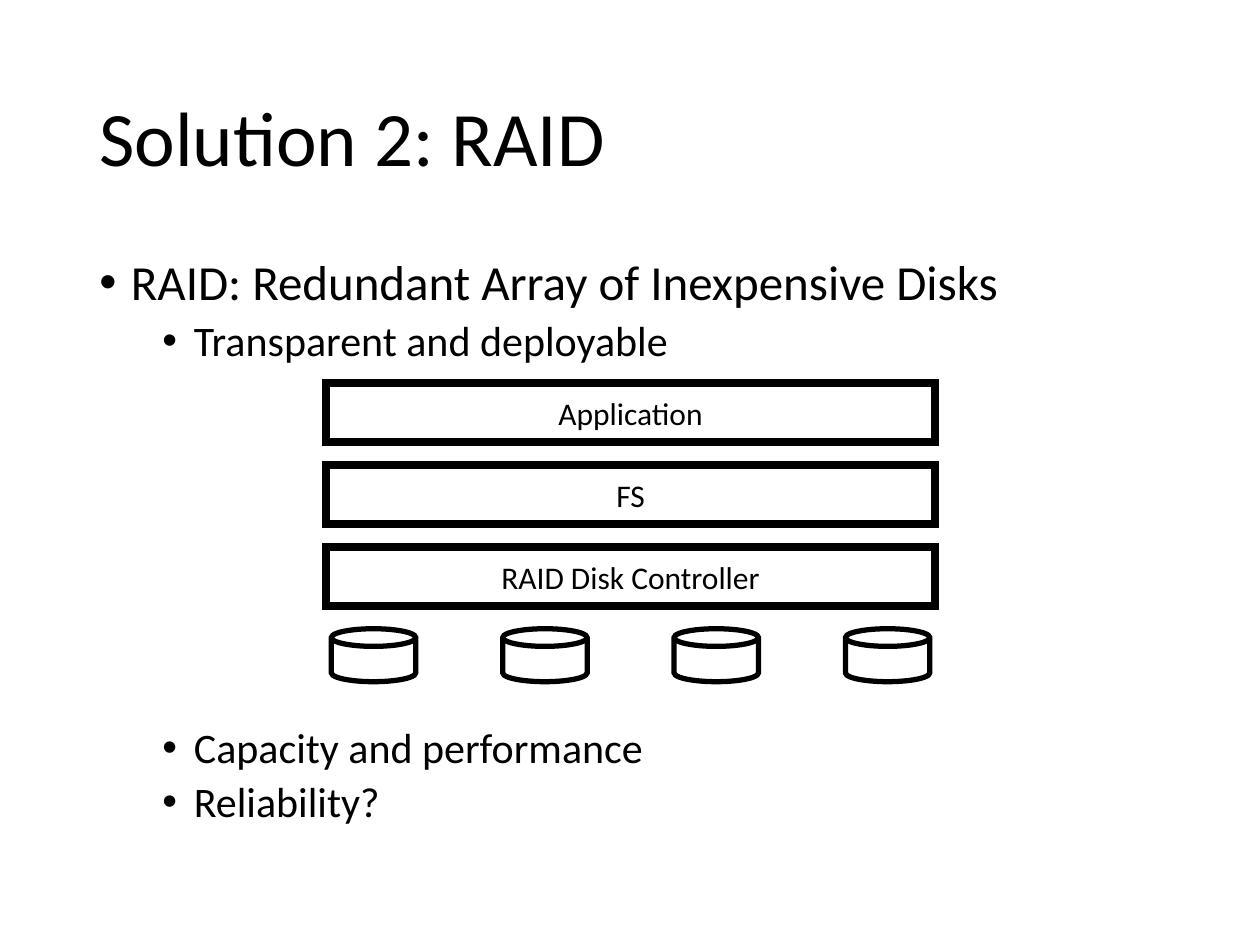
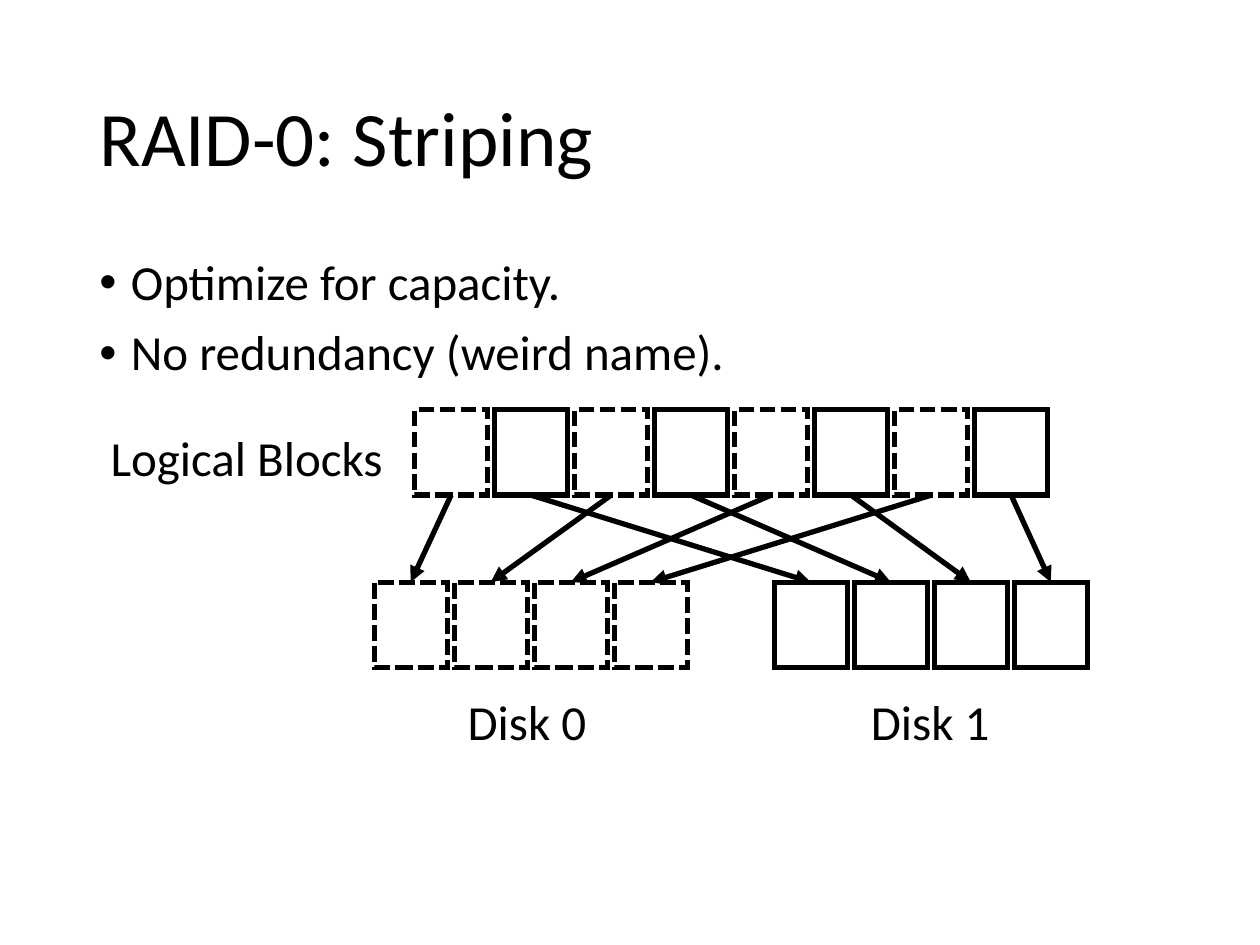
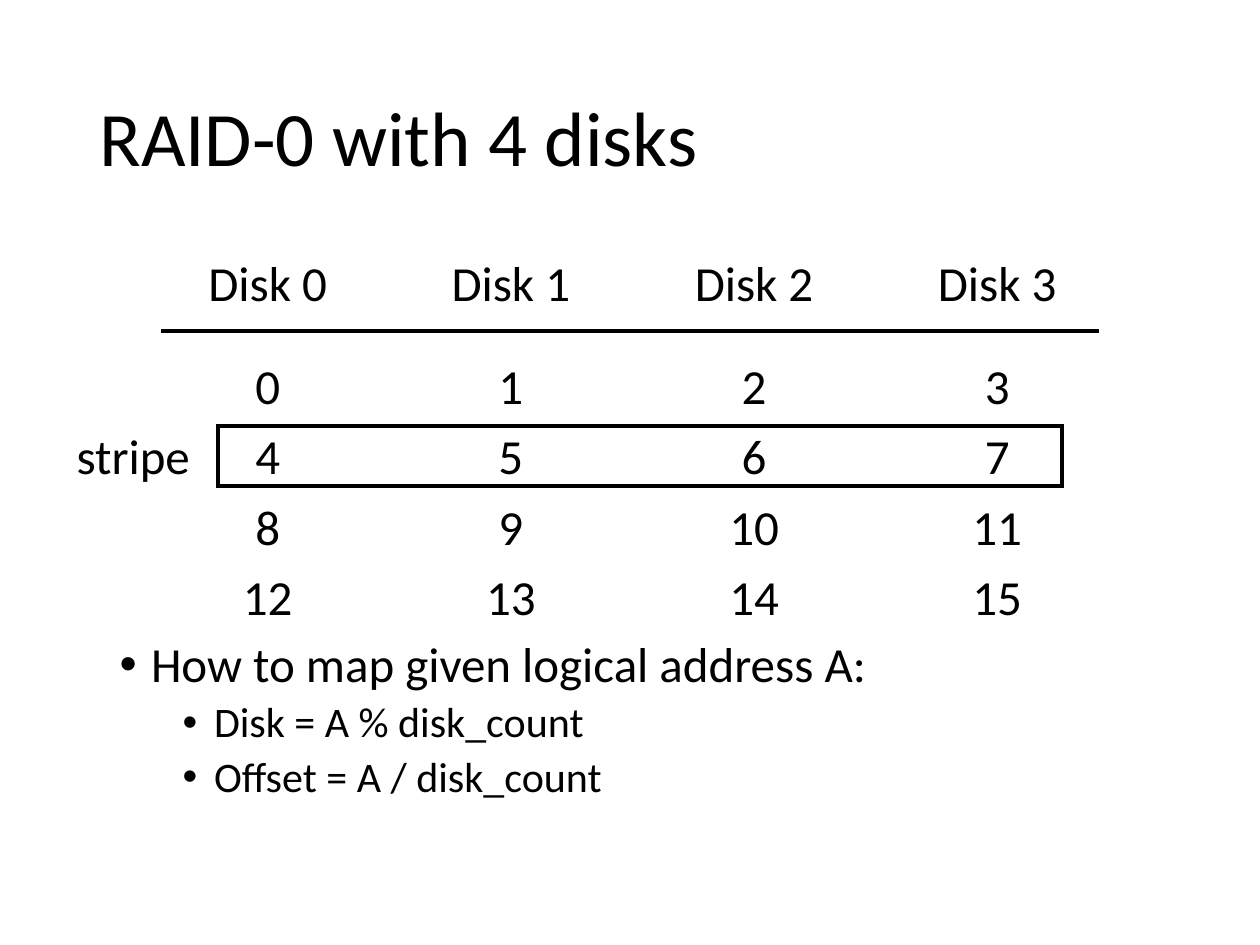
from lxml.etree import SubElement
from pptx import Presentation
from pptx.dml.color import RGBColor
from pptx.enum.dml import MSO_LINE
from pptx.enum.shapes import MSO_CONNECTOR, MSO_SHAPE
from pptx.enum.text import MSO_ANCHOR, PP_ALIGN
from pptx.oxml.ns import qn
from pptx.util import Inches, Pt

BLACK = RGBColor(0, 0, 0)
FONT = "Calibri"
BULLETS = {1: (28, 10, 0.25), 2: (24, 5, 0.75)}


def write(frame, lines, size=28, align=PP_ALIGN.LEFT, space=0.9):
    frame.word_wrap = True
    for i, (text, level) in enumerate(lines):
        para = frame.paragraphs[0] if i == 0 else frame.add_paragraph()
        para.text = text
        para.alignment = align
        para.line_spacing = space
        para.font.name = FONT
        para.font.size = Pt(size)
        para.font.color.rgb = BLACK
        if level:
            points, before, indent = BULLETS[level]
            para.level = level - 1
            para.font.size = Pt(points)
            para.space_before = Pt(before)
            props = para._p.get_or_add_pPr()
            props.set("marL", str(Inches(indent)))
            props.set("indent", str(Inches(-0.25)))
            SubElement(props, qn("a:buFont"), typeface="Arial")
            SubElement(props, qn("a:buChar"), char="•")


def draw(slide, kind, box, width):
    shape = slide.shapes.add_shape(kind, *map(Inches, box))
    shape.shadow.inherit = False
    shape.fill.background()
    shape.line.color.rgb = BLACK
    shape.line.width = Pt(width)
    SubElement(shape.line._get_or_add_ln(), qn("a:miter"), lim="800000")
    return shape


deck = Presentation()
deck.slide_width = Inches(10)
deck.slide_height = Inches(7.5)

slides = []
for title in ["Solution 2: RAID", "RAID-0: Striping", "RAID-0 with 4 disks"]:
    slide = deck.slides.add_slide(deck.slide_layouts[6])
    box = slide.shapes.add_textbox(Inches(0.69), Inches(0.4), Inches(8.62), Inches(1.45))
    box.text_frame.vertical_anchor = MSO_ANCHOR.MIDDLE
    write(box.text_frame, [(title, 0)], 44)
    slides.append(slide)
raid, stripe, grid = slides

texts = [
    (raid, (0.69, 2, 8.62, 1), [("RAID: Redundant Array of Inexpensive Disks", 1),
                                ("Transparent and deployable", 2)]),
    (raid, (0.69, 5.72, 8.62, 1), [("Capacity and performance", 2), ("Reliability?", 2)]),
    (stripe, (0.69, 2, 8.62, 1.1), [("Optimize for capacity.", 1),
                                    ("No redundancy (weird name).", 1)]),
    (stripe, (0.78, 3.4, 2.5, 0.55), [("Logical Blocks", 0)]),
    (grid, (0.51, 3.38, 1.2, 0.55), [("stripe", 0)]),
    (grid, (0.85, 5.03, 8.62, 1.89), [("How to map given logical address A:", 1),
                                      ("Disk = A % disk_count", 2),
                                      ("Offset = A / disk_count", 2)]),
]
for slide, place, lines in texts:
    box = slide.shapes.add_textbox(*map(Inches, place))
    write(box.text_frame, lines)

for i, name in enumerate(["Application", "FS", "RAID Disk Controller"]):
    layer = draw(raid, MSO_SHAPE.RECTANGLE, (2.59, 3.04 + 0.65 * i, 4.83, 0.47), 4.5)
    layer.text_frame.vertical_anchor = MSO_ANCHOR.MIDDLE
    write(layer.text_frame, [(name, 0)], 18, PP_ALIGN.CENTER, 1)
for i in range(4):
    draw(raid, MSO_SHAPE.FLOWCHART_MAGNETIC_DISK, (2.63 + 1.36 * i, 4.99, 0.67, 0.42), 3)

STEP = 1.27 / 2
WIDE, HIGH = 0.58, 0.68
TOP, LOW = 3.25, 4.62
for i in range(8):
    row, disk = divmod(i, 2)
    start = 3.29 + STEP * i
    end = 2.97 + STEP * (row + 5 * disk)
    for left, top in [(start, TOP), (end, LOW)]:
        block = draw(stripe, MSO_SHAPE.RECTANGLE, (left, top, WIDE, HIGH), 3)
        if disk == 0:
            block.line.dash_style = MSO_LINE.SQUARE_DOT
    ends = (start + WIDE / 2, TOP + HIGH, end + WIDE / 2, LOW)
    arrow = stripe.shapes.add_connector(MSO_CONNECTOR.STRAIGHT, *map(Inches, ends))
    arrow.line.color.rgb = BLACK
    arrow.line.width = Pt(3)
    SubElement(arrow.line._get_or_add_ln(), qn("a:tailEnd"), type="triangle")
    SubElement(arrow._element.spPr, qn("a:effectLst"))
for disk in range(2):
    place = (2.94 + 3.2 * disk, 5.49, 3 * STEP + WIDE, 0.55)
    box = stripe.shapes.add_textbox(*map(Inches, place))
    write(box.text_frame, [(f"Disk {disk}", 0)], align=PP_ALIGN.CENTER)

place = (1.16, 2, 7.72, 3.04)
table = grid.shapes.add_table(5, 4, *map(Inches, place)).table
table.first_row = False
table.horz_banding = False
for r in range(5):
    table.rows[r].height = Inches(0.56 if r else 0.8)
    for c in range(4):
        cell = table.cell(r, c)
        props = cell._tc.get_or_add_tcPr()
        for side in ["lnL", "lnR", "lnT", "lnB"]:
            SubElement(SubElement(props, qn(f"a:{side}"), w="0"), qn("a:noFill"))
        cell.fill.background()
        cell.margin_top = Inches(0 if r else 0.05)
        cell.margin_bottom = 0
        cell.vertical_anchor = MSO_ANCHOR.MIDDLE if r else MSO_ANCHOR.TOP
        text = str(4 * (r - 1) + c) if r else f"Disk {c}"
        write(cell.text_frame, [(text, 0)], align=PP_ALIGN.CENTER)

ends = (1.28, 2.63, 8.72, 2.63)
rule = grid.shapes.add_connector(MSO_CONNECTOR.STRAIGHT, *map(Inches, ends))
rule.line.color.rgb = BLACK
rule.line.width = Pt(2.25)
SubElement(rule._element.spPr, qn("a:effectLst"))
draw(grid, MSO_SHAPE.RECTANGLE, (1.73, 3.38, 6.7, 0.48), 2.25)

deck.save("out.pptx")
